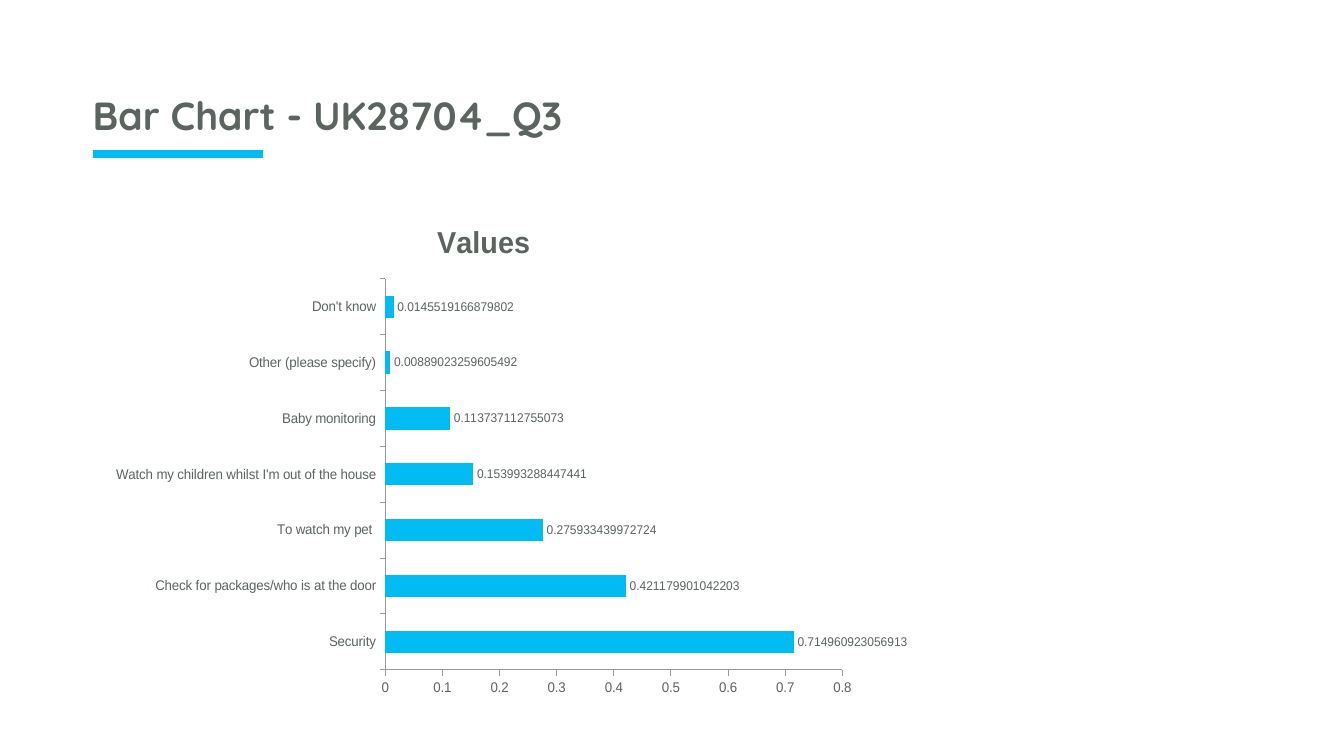
from dataclasses import dataclass

from lxml.etree import SubElement
from pptx import Presentation
from pptx.chart.data import CategoryChartData
from pptx.dml.color import RGBColor
from pptx.enum.chart import XL_CHART_TYPE, XL_LABEL_POSITION, XL_TICK_MARK
from pptx.enum.shapes import MSO_CONNECTOR
from pptx.enum.text import MSO_ANCHOR
from pptx.oxml.ns import qn
from pptx.util import Inches, Pt


@dataclass(frozen=True)
class Theme:
    text: RGBColor = RGBColor(0x5B, 0x64, 0x5F)
    accent: RGBColor = RGBColor(0x00, 0xBC, 0xF2)
    axis: RGBColor = RGBColor(0x99, 0x99, 0x99)
    heading_font: str = "Quicksand"
    chart_font: str = "Arial"
    heading_size: float = 28
    chart_size: float = 18
    chart_title_size: float = 21.6
    axis_size: float = 10
    label_size: float = 9
    rule_width: float = 6


# Share of each answer, as worded on its bar
ANSWERS = {
    "Security": "0.714960923056913",
    "Check for packages/who is at the door": "0.421179901042203",
    "To watch my pet ": "0.275933439972724",
    "Watch my children whilst I'm out of the house": "0.153993288447441",
    "Baby monitoring": "0.113737112755073",
    "Other (please specify)": "0.00889023259605492",
    "Don't know": "0.0145519166879802",
}


class SlideBuilder:
    def __init__(self, slide, theme):
        self.slide = slide
        self.theme = theme

    def style_font(self, font, name, size, bold=False):
        font.name, font.size, font.bold = name, Pt(size), bold
        font.color.rgb = self.theme.text

    def heading(self, text, left, top, width, height):
        sp = self.slide.shapes.add_textbox(
            Inches(left), Inches(top), Inches(width), Inches(height))
        tf = sp.text_frame
        tf.word_wrap = True
        tf.vertical_anchor = MSO_ANCHOR.BOTTOM
        tf.margin_left = tf.margin_right = 0
        p = tf.paragraphs[0]
        p.line_spacing = 0.9
        r = p.add_run()
        r.text = text
        self.style_font(r.font, self.theme.heading_font,
                        self.theme.heading_size, bold=True)

    def rule(self, left, right, y):
        line = self.slide.shapes.add_connector(
            MSO_CONNECTOR.STRAIGHT,
            Inches(left), Inches(y), Inches(right), Inches(y))
        line.line.color.rgb = self.theme.accent
        line.line.width = Pt(self.theme.rule_width)
        SubElement(line._element.spPr, qn("a:effectLst"))

    def bar_chart(self, name, answers, left, top, width, height):
        theme = self.theme
        data = CategoryChartData()
        data.categories = list(answers)
        data.add_series(name, [round(float(v), 6) for v in answers.values()])
        chart = self.slide.shapes.add_chart(
            XL_CHART_TYPE.BAR_CLUSTERED, Inches(left), Inches(top),
            Inches(width), Inches(height), data).chart
        self.style_font(chart.font, theme.chart_font, theme.chart_size)
        chart.has_legend = False

        # Chart title
        chart.has_title = True
        r = chart.chart_title.text_frame.paragraphs[0].add_run()
        r.text = name
        self.style_font(r.font, theme.chart_font,
                        theme.chart_title_size, bold=True)

        # Axes
        for axis in (chart.category_axis, chart.value_axis):
            axis.has_major_gridlines = False
            axis.major_tick_mark = XL_TICK_MARK.OUTSIDE
            axis.minor_tick_mark = XL_TICK_MARK.NONE
            axis.format.line.color.rgb = theme.axis
            self.style_font(axis.tick_labels.font, theme.chart_font,
                            theme.axis_size)

        # Bars
        plot = chart.plots[0]
        plot.gap_width = 150
        plot.vary_by_categories = False
        series = plot.series[0]
        series.format.fill.solid()
        series.format.fill.fore_color.rgb = theme.accent

        # Bar labels with the full wording of each share
        series.data_labels.show_value = True
        for i, share in enumerate(answers.values()):
            label = series.points[i].data_label
            r = label.text_frame.paragraphs[0].add_run()
            r.text = share
            self.style_font(r.font, theme.chart_font, theme.label_size)
            label.position = XL_LABEL_POSITION.OUTSIDE_END


def main():
    prs = Presentation()
    prs.slide_width, prs.slide_height = Inches(13.33), Inches(7.5)
    s = prs.slides.add_slide(prs.slide_layouts[6])
    builder = SlideBuilder(s, Theme())

    # Heading with accent rule
    builder.rule(0.92, 2.61, 1.53)
    builder.heading("Bar Chart - UK28704_Q3", 0.92, 0.4, 11.5, 1.03)

    # Survey answers
    builder.bar_chart("Values", ANSWERS, 1, 2, 8, 5)

    prs.save("out.pptx")


if __name__ == "__main__":
    main()
